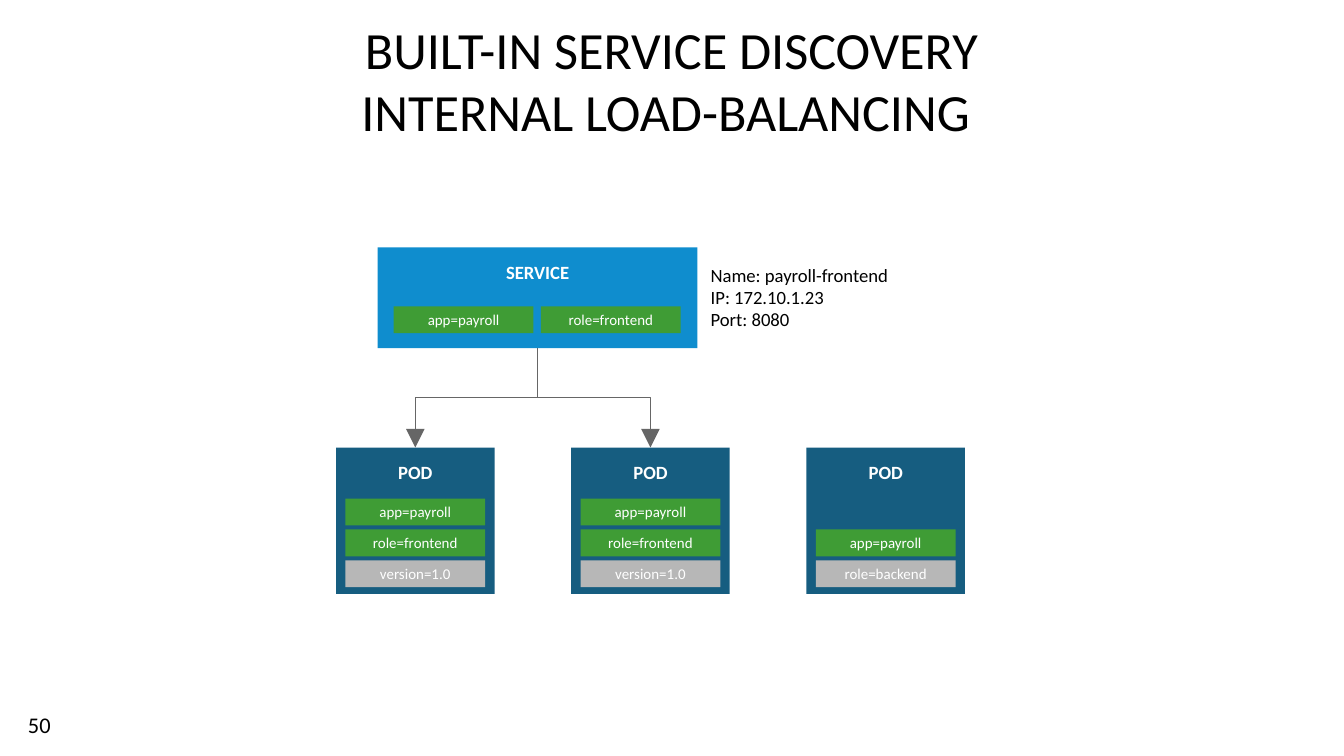
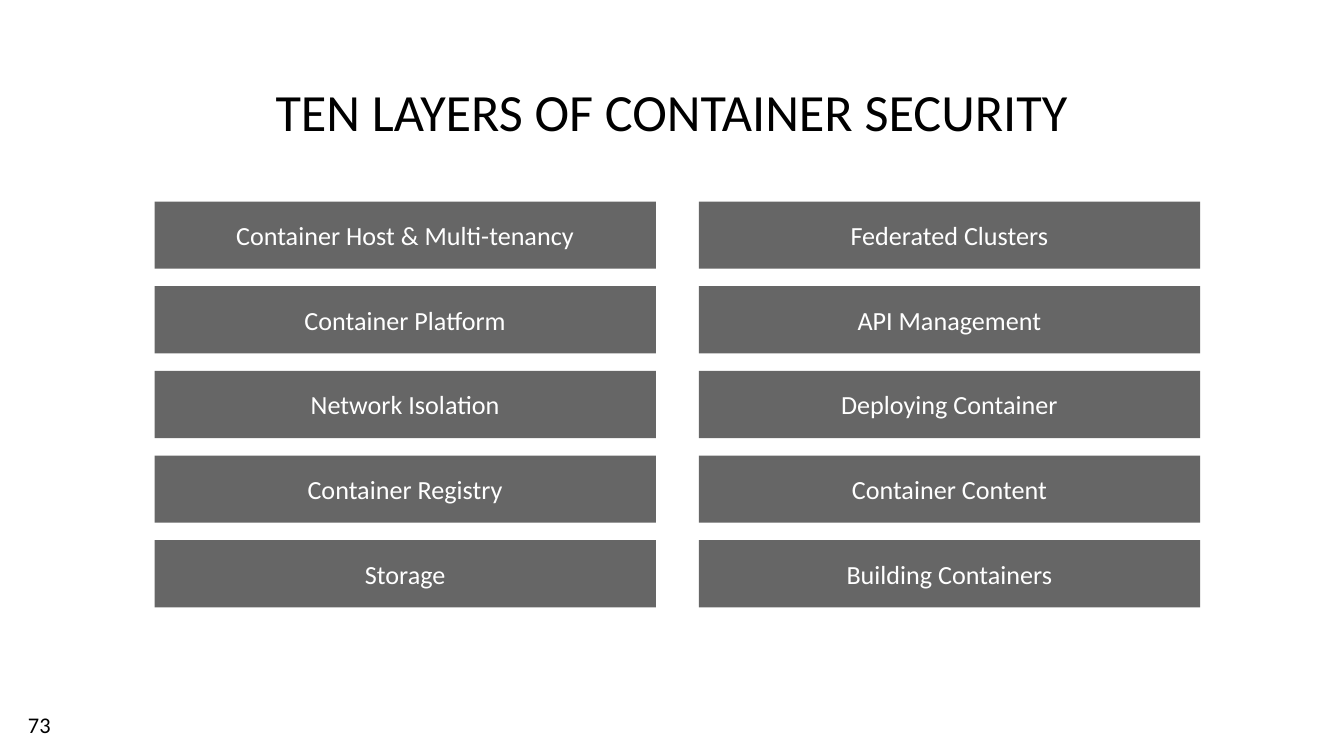
import lxml.etree
import pptx
import pptx.dml.color
import pptx.enum.shapes
import pptx.enum.text
import pptx.oxml.ns
import pptx.util

COLORS = {
    "ink": "000000",
    "paper": "FFFFFF",
    "gray": "666666",
    "service": "0F8DCE",
    "pod": "165D80",
    "match": "3F9C35",
    "other": "B7B7B7",
}
FONT = "Calibri"
SLIDE_WIDTH = pptx.util.Inches(10)
SLIDE_HEIGHT = pptx.util.Inches(5.625)
COLUMN = SLIDE_WIDTH / 100
ROW = SLIDE_HEIGHT / 56.25
PADDING = 1
CHIP_WIDTH, CHIP_HEIGHT = 10.4, 2
ALIGN = pptx.enum.text.PP_ALIGN
ANCHOR = pptx.enum.text.MSO_ANCHOR


def place(box):
    left, top, width, height = box
    return round(left * COLUMN), round(top * ROW), round(width * COLUMN), round(height * ROW)


def rgb(name):
    return pptx.dml.color.RGBColor.from_string(COLORS[name])


def write_text(frame, paragraphs, size=10, color="ink", bold=False,
               align=ALIGN.LEFT, anchor=ANCHOR.TOP, padding=PADDING):
    frame.word_wrap = True
    frame.auto_size = pptx.enum.text.MSO_AUTO_SIZE.NONE
    frame.vertical_anchor = anchor
    frame.margin_left = frame.margin_right = round(padding * COLUMN)
    frame.margin_top = frame.margin_bottom = round(padding * ROW)
    for index, lines in enumerate(paragraphs):
        para = frame.add_paragraph() if index else frame.paragraphs[0]
        para.alignment = align
        for number, line in enumerate(lines.splitlines()):
            if number:
                para.add_line_break()
            span = para.add_run()
            span.text = line
            span.font.name = FONT
            span.font.size = pptx.util.Pt(size)
            span.font.bold = bold
            span.font.color.rgb = rgb(color)


def add_text(page, box, paragraphs, **style):
    shape = page.shapes.add_textbox(*place(box))
    write_text(shape.text_frame, paragraphs, **style)


def add_block(page, box, text, fill, **style):
    shape = page.shapes.add_shape(pptx.enum.shapes.MSO_SHAPE.RECTANGLE, *place(box))
    shape.shadow.inherit = False
    shape.fill.solid()
    shape.fill.fore_color.rgb = rgb(fill)
    shape.line.fill.background()
    write_text(shape.text_frame, [text], color="paper", align=ALIGN.CENTER, **style)
    return shape


def add_page(deck, title, number):
    page = deck.slides.add_slide(deck.slide_layouts.get_by_name("Title Only"))
    heading = page.shapes.title
    heading.left, heading.top, heading.width, heading.height = place((9, 0, 81.9, 11.6))
    write_text(heading.text_frame, [title], size=28, align=ALIGN.CENTER, anchor=ANCHOR.BOTTOM)
    add_text(page, (1.1, 51.8, 4.6, 4.3), [number], size=12, anchor=ANCHOR.MIDDLE)
    return page


def add_chip(page, left, top, label, fill):
    add_block(page, (left, top, CHIP_WIDTH, CHIP_HEIGHT), label, fill,
              size=8, anchor=ANCHOR.MIDDLE, padding=0)


def add_service(page, box, labels, details):
    left, top, width, height = box
    service = add_block(page, box, "SERVICE", "service", bold=True)
    for index, label in enumerate(labels):
        add_chip(page, left + 1.2 + 10.95 * index, top + 4.4, label, "match")
    add_text(page, (left + width, top + 0.2, 25.4, height), details)
    return service


def add_pod(page, box, labels):
    left, top, width, height = box
    pod = add_block(page, box, "POD", "pod", bold=True)
    margin = (width - CHIP_WIDTH) / 2
    for step, label in enumerate(reversed(labels)):
        fill = "match" if step else "other"
        add_chip(page, left + margin, top + height - 2.5 - 2.3 * step, label, fill)
    return pod


def add_route(page, source, target):
    start_x, start_y = source.left + source.width // 2, source.top + source.height
    end_x, end_y = target.left + target.width // 2, target.top
    route = page.shapes.add_connector(
        pptx.enum.shapes.MSO_CONNECTOR.ELBOW, start_x, start_y, end_x, end_y)
    route.begin_connect(source, 2)
    route.end_connect(target, 0)
    route.width, route.height = end_y - start_y, abs(end_x - start_x)
    route.left = (start_x + end_x - route.width) // 2
    route.top = (start_y + end_y - route.height) // 2
    rightward = end_x > start_x
    properties = route._element.spPr
    frame = properties.find(pptx.oxml.ns.qn("a:xfrm"))
    frame.set("rot", str((270 if rightward else 90) * 60000))
    frame.set("flipH", "1" if rightward else "0")
    frame.set("flipV", "0")
    route.line.color.rgb = rgb("gray")
    route.line.width = pptx.util.Pt(0.75)
    lxml.etree.SubElement(route.line._get_or_add_ln(), pptx.oxml.ns.qn("a:tailEnd"),
                          type="triangle", w="lg", len="lg")
    lxml.etree.SubElement(properties, pptx.oxml.ns.qn("a:effectLst"))


def add_discovery_page(deck):
    page = add_page(deck, """BUILT-IN SERVICE DISCOVERY
INTERNAL LOAD-BALANCING """, "50")
    selector = ["app=payroll", "role=frontend"]
    details = ["Name: payroll-frontend", "IP: 172.10.1.23", "Port: 8080"]
    service = add_service(page, (28.1, 18.4, 23.8, 7.5), selector, details)
    frontend = selector + ["version=1.0"]
    backend = ["app=payroll", "role=backend"]
    pods = [add_pod(page, (25 + 17.5 * index, 33.3, 11.8, 10.9), labels)
            for index, labels in enumerate([frontend, frontend, backend])]
    for pod in pods[:2]:
        add_route(page, service, pod)


def add_layer_grid(page, box, columns):
    left, top, width, height = box
    block_width, block_height = 37.3, 5
    for column, layers in enumerate(columns):
        column_step = (width - block_width) / (len(columns) - 1)
        row_step = (height - block_height) / (len(layers) - 1)
        for row, layer in enumerate(layers):
            block = (left + column * column_step, top + row * row_step, block_width, block_height)
            add_block(page, block, layer, "gray", size=14, anchor=ANCHOR.MIDDLE)


def add_security_page(deck):
    page = add_page(deck, "TEN LAYERS OF CONTAINER SECURITY", "73")
    add_layer_grid(page, (11.5, 15, 77.8, 30.2), [
        ["Container Host & Multi-tenancy", "Container Platform", "Network Isolation",
         "Container Registry", "Storage"],
        ["Federated Clusters", "API Management", "Deploying Container",
         "Container Content", "Building Containers"],
    ])


def main():
    deck = pptx.Presentation()
    deck.slide_width, deck.slide_height = SLIDE_WIDTH, SLIDE_HEIGHT
    add_discovery_page(deck)
    add_security_page(deck)
    deck.save("out.pptx")


if __name__ == "__main__":
    main()
